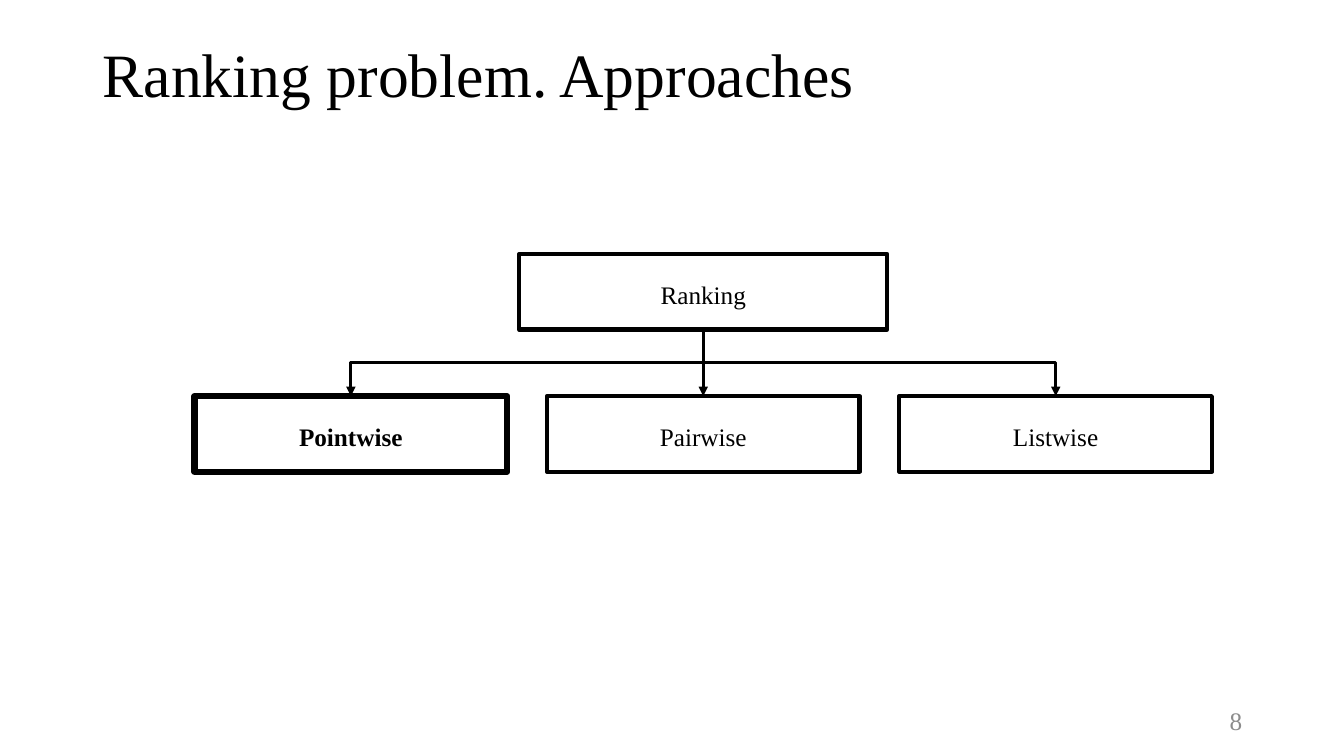
from pptx import Presentation
from pptx.dml.color import RGBColor
from pptx.enum import shapes as kinds, text as words
from pptx.oxml import ns, xmlchemy as xml
from pptx.util import Inches, Pt

COLORS = {"ink": "000000", "grey": "8C8C8C"}
FONT = "Times New Roman"
LEAVES = ["Pointwise", "Pairwise", "Listwise"]
PICKED = "Pointwise"


def assign(item, values):
    """Set every attribute of item from a dict."""
    for name, value in values.items():
        setattr(item, name, value)


def write(shape, label, align, size=18, bold=False, color="ink", frame=None):
    """Fill a shape with one formatted line of text."""
    body = shape.text_frame
    assign(body, {"word_wrap": True, "auto_size": words.MSO_AUTO_SIZE.NONE,
                  "vertical_anchor": words.MSO_ANCHOR.MIDDLE, **(frame or {})})
    line = body.paragraphs[0]
    line.alignment = align
    run = line.add_run()
    run.text = label
    assign(run.font, {"name": FONT, "size": Pt(size), "bold": bold})
    run.font.color.rgb = RGBColor.from_string(COLORS[color])


def add_title(slide, left, top, width, height):
    """Place the slide title in its box."""
    title = slide.shapes.title
    assign(title, {"left": Inches(left), "top": Inches(top),
                   "width": Inches(width), "height": Inches(height)})
    write(title, "Ranking problem. Approaches", words.PP_ALIGN.LEFT, 44)
    title.text_frame.paragraphs[0].line_spacing = 0.9


def add_number(slide, left, top, width, height):
    """Place the page number in its box."""
    box = slide.shapes.add_textbox(*map(Inches, (left, top, width, height)))
    write(box, "8", words.PP_ALIGN.RIGHT, color="grey")


def add_node(slide, label, left, top, width, height):
    """Draw one outlined box of the tree."""
    node = slide.shapes.add_shape(kinds.MSO_SHAPE.RECTANGLE,
                                  *map(Inches, (left, top, width, height)))
    bold = label == PICKED
    node.shadow.inherit = False
    node.fill.background()
    node.line.color.rgb = RGBColor.from_string(COLORS["ink"])
    node.line.width = Pt(4.5 if bold else 3)
    write(node, label, words.PP_ALIGN.CENTER, bold=bold,
          frame={"margin_top": Inches(0.05), "margin_bottom": 0})
    return node


def add_arrow(slide, kind, ends):
    """Draw one arrow between the given ends."""
    arrow = slide.shapes.add_connector(kind, *map(Inches, ends))
    arrow.line.color.rgb = RGBColor.from_string(COLORS["ink"])
    arrow.line.width = Pt(2.25)
    props = arrow._element.spPr
    tip = xml.OxmlElement("a:tailEnd")
    tip.set("type", "triangle")
    props.find(ns.qn("a:ln")).append(tip)
    props.append(xml.OxmlElement("a:effectLst"))
    return arrow


def add_elbow(slide, x, y, end, drop):
    """Draw a bent arrow that leaves downwards and ends at x = end."""
    mid, half = (x + end) / 2, abs(end - x) / 2
    side = drop / 2 if end < x else -drop / 2
    center = y + drop / 2
    arrow = add_arrow(slide, kinds.MSO_CONNECTOR.ELBOW,
                      (mid - side, center - half, mid + side, center + half))
    turn = 90 if end < x else 270
    arrow._element.spPr.find(ns.qn("a:xfrm")).set("rot", str(turn * 60000))


def add_tree(slide, left, top, width, height):
    """Draw the root, its three leaves and the arrows between them."""
    wide, leaf, tall = 3.65, 3.1, 0.75
    mid = left + width / 2
    step = (width - leaf) / (len(LEAVES) - 1)
    drop = height - 2 * tall
    root = add_node(slide, "Ranking", mid - wide / 2, top, wide, tall)
    nodes = [add_node(slide, label, left + i * step, top + tall + drop, leaf, tall)
             for i, label in enumerate(LEAVES)]
    start = top + tall
    stem = add_arrow(slide, kinds.MSO_CONNECTOR.STRAIGHT,
                     (mid, start, mid, start + drop))
    stem.begin_connect(root, 2)
    stem.end_connect(nodes[1], 0)
    for end in (mid - step, mid + step):
        add_elbow(slide, mid, start, end, drop)


def main():
    """Build and save the slide."""
    deck = Presentation()
    assign(deck, {"slide_width": Inches(13.33), "slide_height": Inches(7.5)})
    slide = deck.slides.add_slide(deck.slide_layouts[5])
    add_number(slide, 9.42, 6.95, 3, 0.4)
    add_title(slide, 0.92, 0.37, 11.57, 0.8)
    add_tree(slide, 1.93, 2.52, 10.09, 2.16)
    deck.save("out.pptx")


if __name__ == "__main__":
    main()
